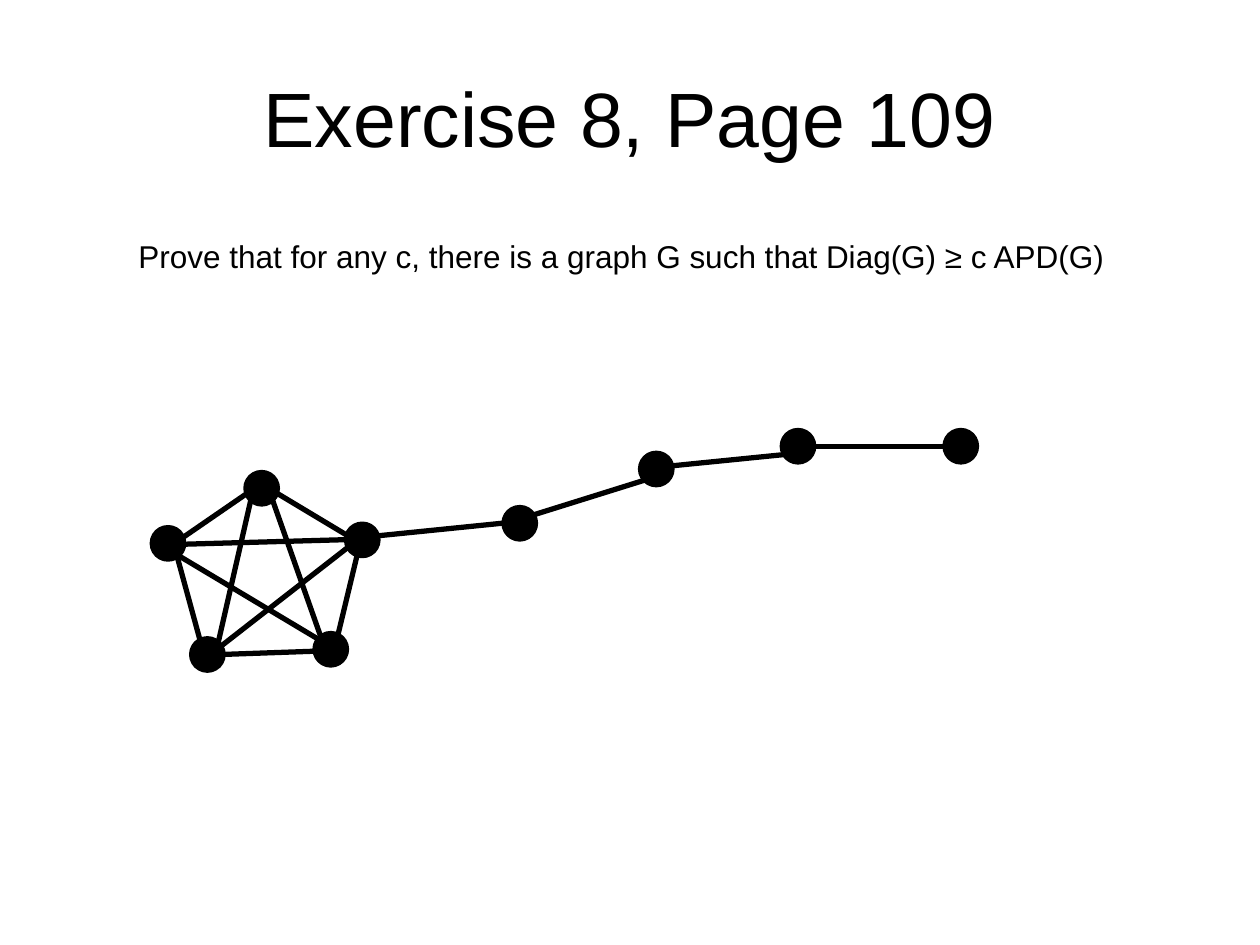
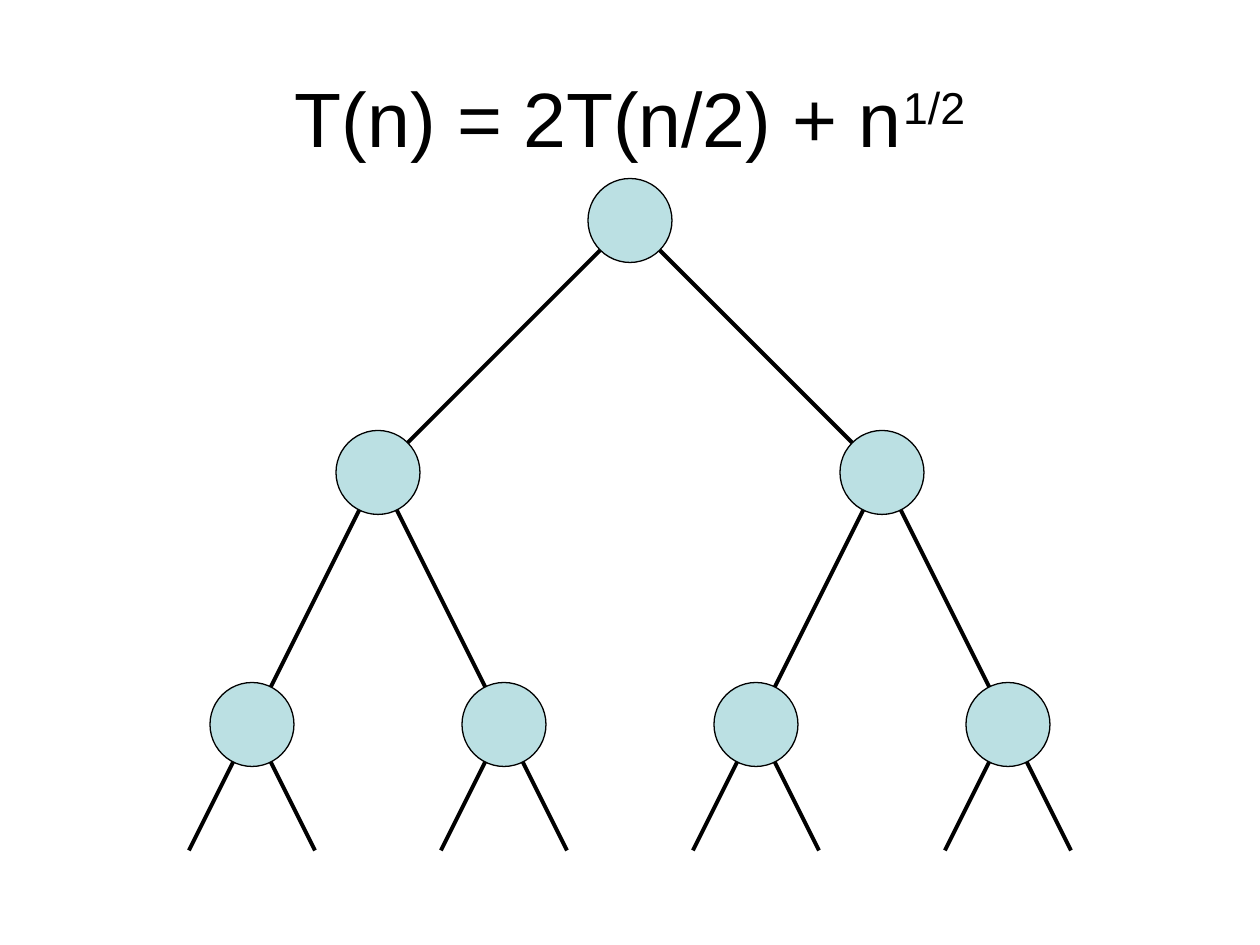
from lxml import etree
from pptx import Presentation
from pptx.dml.color import RGBColor
from pptx.enum import shapes, text
from pptx.oxml.ns import qn
from pptx.util import Pt

BLACK, PALE_BLUE = "000000", "BBE0E3"

# Top left corners of the dots: five in the clique, four in the tail
CLIQUE = [(140.5, 270), (198, 299.5), (180, 362), (109.5, 365), (87, 301.5)]
TAIL = [(288, 290), (366, 259), (447, 246), (540, 246)]
DOT = 18
CLIQUE_EDGES = [
    ((143.5, 273), (201, 307.5)),
    ((207.5, 303), (189, 380)),
    ((198, 371.5), (112.5, 374.5)),
    ((98.5, 308), (119, 383)),
    ((144, 280), (89.5, 317.5)),
    ((102, 317.5), (189, 369.5)),
    ((155.5, 285), (189, 380)),
    ((207.5, 306), (112.5, 380)),
    ((143.5, 285), (124.5, 368)),
    ((211.5, 308), (105, 311)),
]
TAIL_EDGES = [
    ((198, 308), (297, 298)),
    ((288, 299.5), (376, 272)),
    ((366, 268), (456, 259)),
    ((447, 255), (549, 255)),
]

ROOT = (360, 126)
LEVEL_GAP = 144
TREE_NODE = 48
STUB_WIDTH, STUB_HEIGHT = 36, 72


def rgb(value):
    return RGBColor.from_string(value)


def apply(target, settings):
    for name, value in settings.items():
        setattr(target, name, value)


class Deck:
    font = "Arial"
    title_size, body_size = 44, 18

    def __init__(self):
        self.prs = Presentation()
        apply(self.prs, {"slide_width": Pt(720), "slide_height": Pt(540)})
        self.slide = None

    def add_slide(self, title, superscript=""):
        self.slide = self.prs.slides.add_slide(self.prs.slide_layouts[5])
        heading = self.slide.shapes.title
        apply(heading, {"left": Pt(36), "top": Pt(21.6),
                        "width": Pt(648), "height": Pt(90)})
        apply(heading.text_frame, {"vertical_anchor": text.MSO_ANCHOR.MIDDLE,
                                   "auto_size": text.MSO_AUTO_SIZE.NONE,
                                   "word_wrap": True})
        paragraph = heading.text_frame.paragraphs[0]
        paragraph.alignment = text.PP_ALIGN.CENTER
        self.run(paragraph, title, self.title_size)
        if superscript:
            raised = self.run(paragraph, superscript, self.title_size)
            raised._r.get_or_add_rPr().set("baseline", "30000")

    def run(self, paragraph, words, size):
        run = paragraph.add_run()
        run.text = words
        apply(run.font, {"name": self.font, "size": Pt(size)})
        run.font.color.rgb = rgb(BLACK)
        return run

    def textbox(self, words, left, top, width, height):
        box = self.slide.shapes.add_textbox(Pt(left), Pt(top), Pt(width), Pt(height))
        apply(box.text_frame, {"word_wrap": True,
                               "auto_size": text.MSO_AUTO_SIZE.SHAPE_TO_FIT_TEXT})
        self.run(box.text_frame.paragraphs[0], words, self.body_size)

    def outline(self, shape, weight):
        shape.line.width = Pt(weight)
        shape.line.color.rgb = rgb(BLACK)

    def circle(self, left, top, size, fill, weight):
        circle = self.slide.shapes.add_shape(
            shapes.MSO_SHAPE.OVAL, Pt(left), Pt(top), Pt(size), Pt(size))
        circle.shadow.inherit = False
        circle.fill.solid()
        circle.fill.fore_color.rgb = rgb(fill)
        self.outline(circle, weight)

    def edge(self, start, end, weight):
        edge = self.slide.shapes.add_connector(
            shapes.MSO_CONNECTOR.STRAIGHT, *map(Pt, start + end))
        self.outline(edge, weight)
        etree.SubElement(edge._element.spPr, qn("a:effectLst"))

    def fork(self, apex, half_width, height, weight):
        """Draw two branches down from the apex as one open outline."""
        x, y = apex
        left, *rest = [(Pt(px), Pt(py)) for px, py in (
            (x - half_width, y + height), apex, (x + half_width, y + height))]
        builder = self.slide.shapes.build_freeform(*left)
        builder.add_line_segments(rest, close=False)
        fork = builder.convert_to_shape()
        fork.shadow.inherit = False
        fork.fill.background()
        self.outline(fork, weight)


def add_graph_slide(deck):
    deck.add_slide("Exercise 8, Page 109")
    deck.textbox("Prove that for any c, there is a graph G such that "
                 "Diag(G) ≥ c APD(G)", 72, 132, 588, 29)
    for left, top in CLIQUE + TAIL:
        deck.circle(left, top, DOT, BLACK, 3)
    for start, end in CLIQUE_EDGES + TAIL_EDGES:
        deck.edge(start, end, 3)


def add_recursion_tree_slide(deck):
    deck.add_slide("T(n) = 2T(n/2) + n", superscript="1/2")
    root_x, root_y = ROOT
    middle = [(root_x + side * LEVEL_GAP, root_y + LEVEL_GAP) for side in (-1, 1)]
    deck.fork(ROOT, LEVEL_GAP, LEVEL_GAP, 2.25)
    bottom = []
    for x, y in middle:
        for side in (-1, 1):
            child = (x + side * LEVEL_GAP / 2, y + LEVEL_GAP)
            deck.edge((x, y), child, 2.25)
            deck.fork(child, STUB_WIDTH / 2 * 2, STUB_HEIGHT, 2.25)
            bottom.append(child)
    for x, y in [ROOT] + middle + bottom:
        deck.circle(x - TREE_NODE / 2, y - TREE_NODE / 2, TREE_NODE, PALE_BLUE, 0.75)


def main():
    deck = Deck()
    add_graph_slide(deck)
    add_recursion_tree_slide(deck)
    deck.prs.save("out.pptx")


if __name__ == "__main__":
    main()
